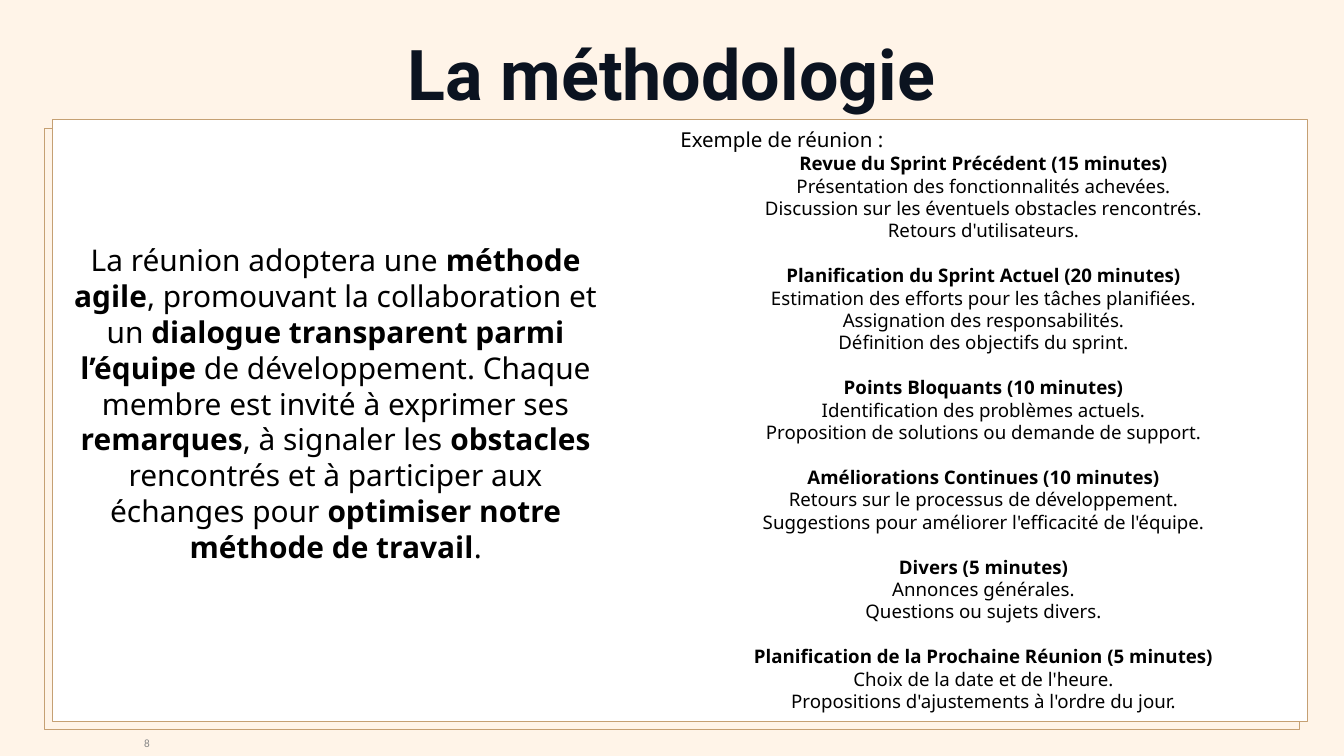
from pptx import Presentation
from pptx.dml.color import RGBColor
from pptx.enum.shapes import MSO_SHAPE
from pptx.enum.text import MSO_ANCHOR, PP_ALIGN
from pptx.util import Pt

PX = 9525
RECTANGLE = MSO_SHAPE.RECTANGLE
TOP, MIDDLE = MSO_ANCHOR.TOP, MSO_ANCHOR.MIDDLE
LEFT, CENTER, RIGHT = PP_ALIGN.LEFT, PP_ALIGN.CENTER, PP_ALIGN.RIGHT

CREAM = RGBColor(0xFF, 0xF4, 0xE8)
GOLD = RGBColor(0xC5, 0xA0, 0x73)
WHITE = RGBColor(0xFF, 0xFF, 0xFF)
NAVY = RGBColor(0x0B, 0x13, 0x20)
GREY = RGBColor(0x88, 0x88, 0x88)
BLACK = RGBColor(0, 0, 0)

METHOD = [
    ("La réunion adoptera une ", False),
    ("méthode agile", True),
    (", promouvant la collaboration et un ", False),
    ("dialogue transparent parmi l’équipe", True),
    (" de développement. Chaque membre est invité à exprimer ses ", False),
    ("remarques", True),
    (", à signaler les ", False),
    ("obstacles ", True),
    ("rencontrés et à participer aux échanges pour ", False),
    ("optimiser notre méthode de travail", True),
    (".", False),
]

AGENDA = [
    ("Revue du Sprint Précédent (15 minutes)", [
        "Présentation des fonctionnalités achevées.",
        "Discussion sur les éventuels obstacles rencontrés.",
        "Retours d'utilisateurs."]),
    ("Planification du Sprint Actuel (20 minutes)", [
        "Estimation des efforts pour les tâches planifiées.",
        "Assignation des responsabilités.",
        "Définition des objectifs du sprint."]),
    ("Points Bloquants (10 minutes)", [
        "Identification des problèmes actuels.",
        "Proposition de solutions ou demande de support."]),
    ("Améliorations Continues (10 minutes)", [
        "Retours sur le processus de développement.",
        "Suggestions pour améliorer l'efficacité de l'équipe."]),
    ("Divers (5 minutes)", [
        "Annonces générales.",
        "Questions ou sujets divers."]),
    ("Planification de la Prochaine Réunion (5 minutes)", [
        "Choix de la date et de l'heure.",
        "Propositions d'ajustements à l'ordre du jour."]),
]


def add_frame(slide, box):
    """Draw the white card in front of its offset gold outline."""
    left, top, width, height = box
    offset = 12
    for x, y in ((left - offset, top + offset), (left, top)):
        panel = slide.shapes.add_shape(
            RECTANGLE, x * PX, y * PX, width * PX, height * PX)
        panel.shadow.inherit = False
        panel.line.color.rgb = GOLD
        panel.line.width = Pt(0.75)
        panel.fill.background()
    panel.fill.solid()
    panel.fill.fore_color.rgb = WHITE


def add_text_frame(slide, box, anchor, insets):
    """Add a wrapping text box and return its text frame."""
    frame = slide.shapes.add_textbox(*(length * PX for length in box)).text_frame
    frame.word_wrap = True
    frame.vertical_anchor = anchor
    (frame.margin_left, frame.margin_top,
     frame.margin_right, frame.margin_bottom) = (inset * PX for inset in insets)
    return frame


def add_run(paragraph, text, size, bold=False, font="Noto Sans", color=BLACK):
    """Append one formatted run to a paragraph."""
    run = paragraph.add_run()
    run.text = text
    run.font.size = Pt(size)
    run.font.bold = bold
    run.font.name = font
    run.font.color.rgb = color


def add_title(slide, box):
    """Write the slide title."""
    title = add_text_frame(slide, box, TOP, (0, 0, 0, 0)).paragraphs[0]
    title.alignment = CENTER
    title.line_spacing = 1.2
    add_run(title, "La méthodologie", 75, True, "Roboto", NAVY)


def add_page_number(slide, box):
    """Write the page number against the right side of its box."""
    number = add_text_frame(slide, box, MIDDLE, (10, 5, 10, 5)).paragraphs[0]
    number.alignment = RIGHT
    add_run(number, "8", 12, font="Calibri", color=GREY)


def add_method(slide, box):
    """Write the method description, raised by half a line."""
    line_height = 51
    insets = (10, 10, 10, 10 + line_height)
    method = add_text_frame(slide, box, MIDDLE, insets).paragraphs[0]
    method.alignment = CENTER
    for text, bold in METHOD:
        add_run(method, text, 32, bold)


def add_agenda(slide, box):
    """Write the sample meeting, one spaced group per topic."""
    frame = add_text_frame(slide, box, TOP, (10, 10, 10, 10))
    intro = frame.paragraphs[0]
    intro.alignment = LEFT
    add_run(intro, "Exemple de réunion :", 22)
    for index, (topic, points) in enumerate(AGENDA):
        heading = frame.add_paragraph()
        heading.alignment = CENTER
        heading.space_before = Pt(24 if index else 0)
        add_run(heading, topic, 20, True)
        for point in points:
            detail = frame.add_paragraph()
            detail.alignment = CENTER
            add_run(detail, point, 20)


def main():
    """Build the methodology slide."""
    deck = Presentation()
    deck.slide_width, deck.slide_height = 1920 * PX, 1080 * PX
    slide = deck.slides.add_slide(deck.slide_layouts[6])
    slide.background.fill.solid()
    slide.background.fill.fore_color.rgb = CREAM
    add_frame(slide, (75, 171, 1793, 859))
    add_title(slide, (107, 19, 1705, 121))
    add_page_number(slide, (0, 1042, 224, 38))
    add_method(slide, (75, 172, 809, 859))
    add_agenda(slide, (962, 172, 886, 859))
    deck.save("out.pptx")


if __name__ == "__main__":
    main()
